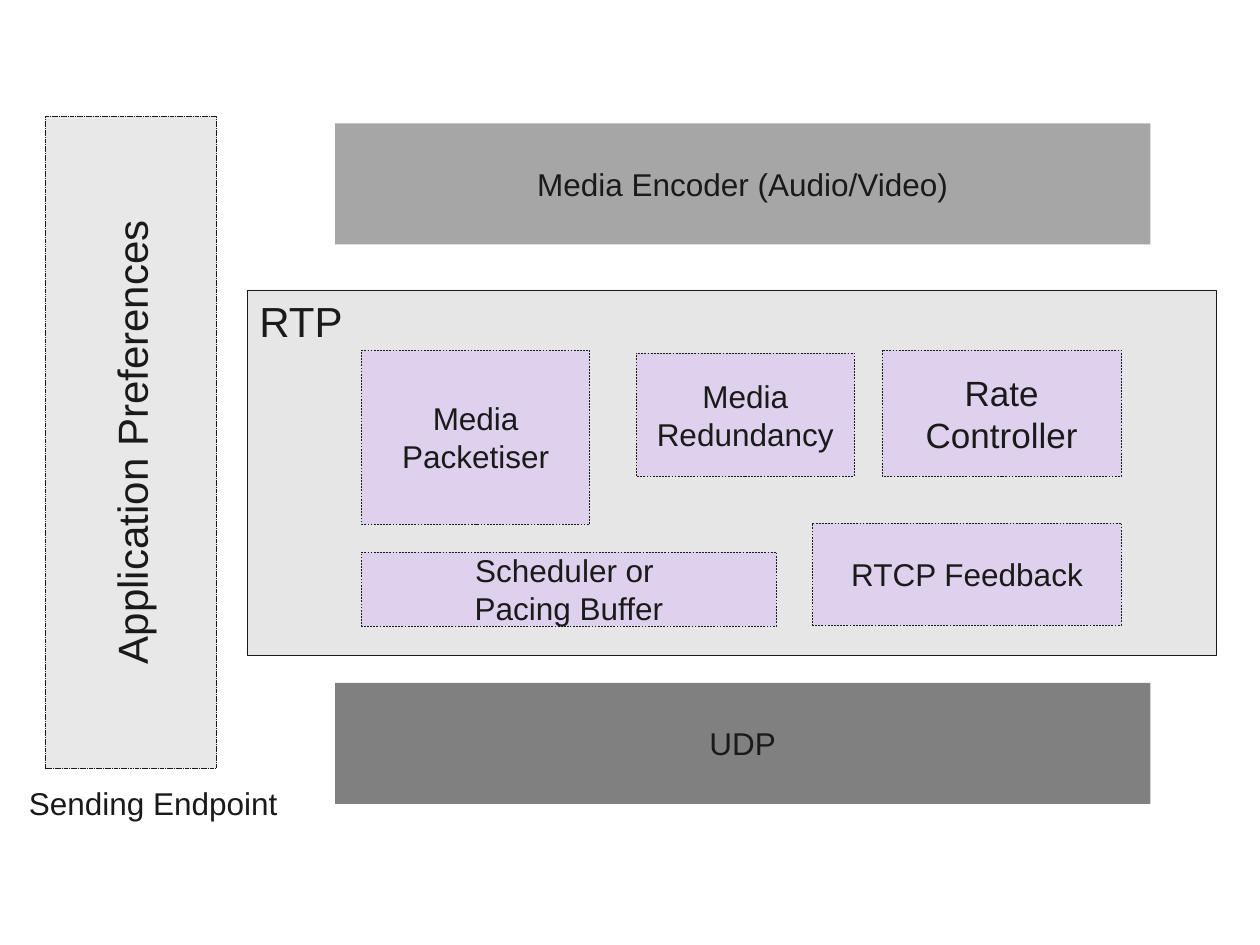
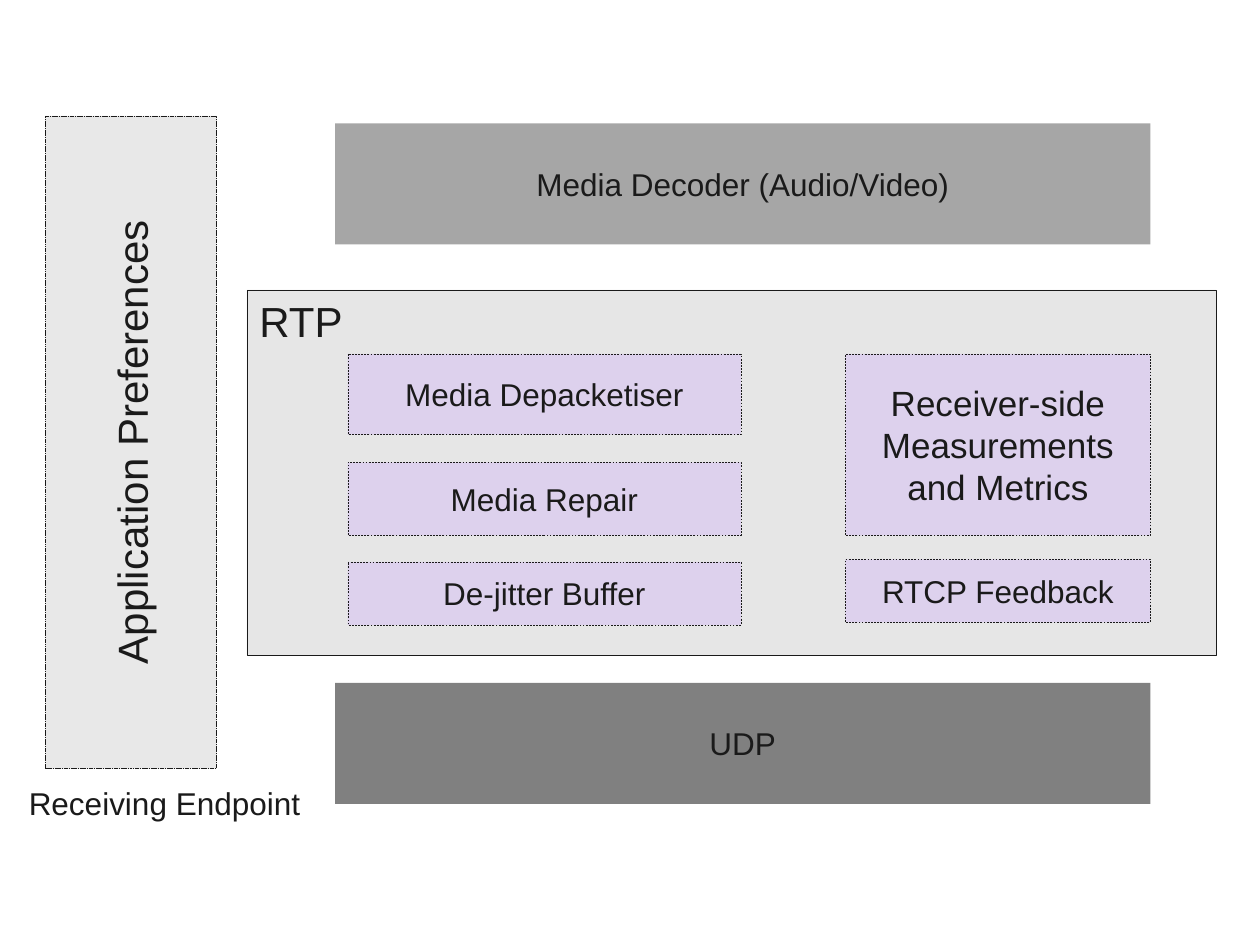
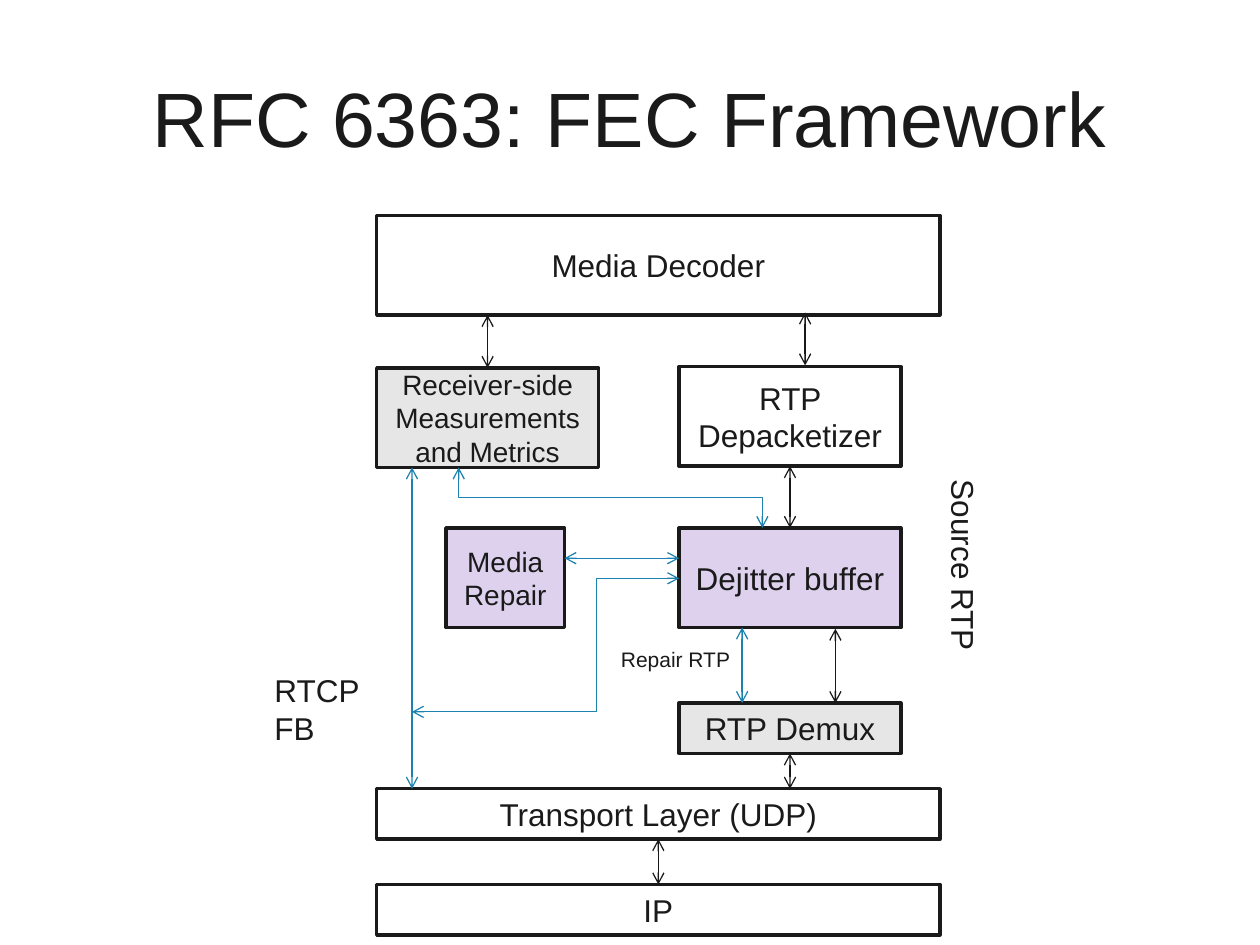
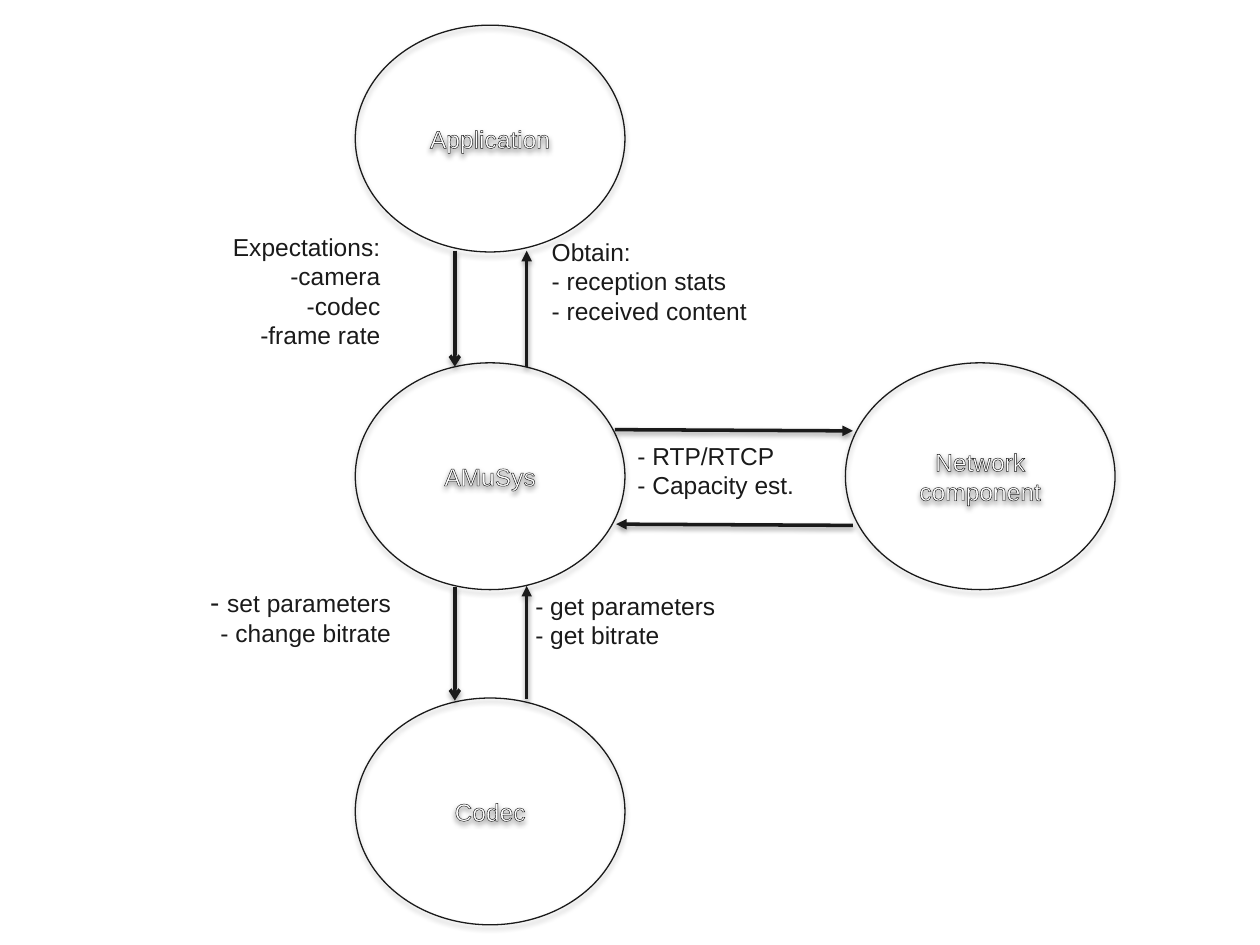
import lxml.etree
import pptx
import pptx.dml.color
import pptx.enum.dml
import pptx.enum.shapes
import pptx.enum.text
import pptx.oxml.ns
import pptx.util

COLOURS = {
    "ink": "1A1A1A",
    "arrow": "191919",
    "feedback": "1C82AF",
    "white": "FFFFFF",
    "panel": "E6E6E6",
    "sidebar": "E8E8E8",
    "module": "DDD1ED",
    "media": "A6A6A6",
    "transport": "808080",
    "shadow": "000000",
}
FONT = "Arial"
COLUMNS, ROWS = 100, 75
ALIGN = pptx.enum.text.PP_ALIGN
ANCHOR = pptx.enum.text.MSO_ANCHOR
SHAPE = pptx.enum.shapes.MSO_SHAPE
CONNECTOR = pptx.enum.shapes.MSO_CONNECTOR
DASH = pptx.enum.dml.MSO_LINE
TOP, LEFT, BOTTOM, RIGHT = range(4)


def rgb(name):
    return pptx.dml.color.RGBColor.from_string(COLOURS[name])


def add_node(parent, tag, **attributes):
    return lxml.etree.SubElement(parent, pptx.oxml.ns.qn(tag), attributes)


def add_colour(parent, name, **modifiers):
    colour = add_node(parent, "a:srgbClr", val=COLOURS[name])
    for tag, value in modifiers.items():
        add_node(colour, f"a:{tag}", val=str(value))


def cast_shadow(effects, alpha, distance):
    shade = add_node(effects, "a:outerShdw", blurRad=str(pptx.util.Pt(3.1)),
                     dist=str(pptx.util.Pt(distance)), dir="5400000",
                     algn="ctr", rotWithShape="0")
    add_colour(shade, "shadow", alpha=alpha * 1000)


def write(frame, text, size=18, colour="ink", align=ALIGN.LEFT, first_align=None,
          anchor=ANCHOR.TOP, outline=False, wrap=True):
    frame.word_wrap = wrap
    frame.vertical_anchor = anchor
    lines = text if isinstance(text, list) else [text]
    for number, line in enumerate(lines):
        para = frame.paragraphs[0] if number == 0 else frame.add_paragraph()
        para.alignment = first_align if number == 0 and first_align else align
        for words, points in [(line, size)] if isinstance(line, str) else line:
            span = para.add_run()
            span.text = words
            span.font.name = FONT
            span.font.size = pptx.util.Pt(points)
            span.font.color.rgb = rgb(colour)
            if outline:
                properties = span.font._element
                stroke = add_node(properties, "a:ln", w=str(pptx.util.Pt(0.75)))
                add_colour(add_node(stroke, "a:solidFill"), "ink")
                properties.insert(0, stroke)


class Deck:
    def __init__(self):
        self.file = pptx.Presentation()
        self.file.slide_width = pptx.util.Inches(10)
        self.file.slide_height = pptx.util.Inches(7.5)
        self.page = None

    def x(self, columns):
        return round(self.file.slide_width * columns / COLUMNS)

    def y(self, rows):
        return round(self.file.slide_height * rows / ROWS)

    def area(self, left, top, width, height):
        return self.x(left), self.y(top), self.x(width), self.y(height)

    def new_page(self, title=None):
        self.page = self.file.slides.add_slide(self.file.slide_layouts[5 if title else 6])
        if title:
            box = self.page.shapes.title
            box.left, box.top, box.width, box.height = self.area(5, 3, 90, 12.5)
            write(box.text_frame, title, size=44, align=ALIGN.CENTER, anchor=ANCHOR.MIDDLE)

    def shape(self, kind, place, fill=None, line=None, dash=None):
        box = self.page.shapes.add_shape(kind, *self.area(*place))
        box.shadow.inherit = False
        if fill:
            box.fill.solid()
            box.fill.fore_color.rgb = rgb(fill)
        else:
            box.fill.background()
        if line:
            box.line.color.rgb = rgb("ink")
            box.line.width = pptx.util.Pt(line)
            if dash:
                box.line.dash_style = dash
        else:
            box.line.fill.background()
        return box

    def box(self, text, place, fill, line=None, dash=None, size=18,
            align=ALIGN.CENTER, anchor=ANCHOR.MIDDLE, vertical=None):
        box = self.shape(SHAPE.RECTANGLE, place, fill, line, dash)
        write(box.text_frame, text, size=size, align=align, anchor=anchor)
        if vertical:
            box.text_frame._txBody.bodyPr.set("vert", vertical)
        return box

    def bubble(self, text, left, top):
        box = self.shape(SHAPE.OVAL, (left, top, 21.4, 18), line=0.75)
        cast_shadow(box._element.spPr.find(pptx.oxml.ns.qn("a:effectLst")), 35, 1.8)
        write(box.text_frame, text, size=14, colour="white", align=ALIGN.CENTER,
              anchor=ANCHOR.MIDDLE, outline=True)

    def label(self, text, place, rotation=0, **style):
        box = self.page.shapes.add_textbox(*self.area(*place))
        box.rotation = rotation
        write(box.text_frame, text, **style)
        box.text_frame.auto_size = pptx.enum.text.MSO_AUTO_SIZE.SHAPE_TO_FIT_TEXT

    def arrow(self, start, end, colour="arrow", width=0.75, head="arrow", tail="arrow",
              begin_at=None, end_at=None, bend=None, shadow=False):
        kind = CONNECTOR.STRAIGHT if bend is None else CONNECTOR.ELBOW
        link = self.page.shapes.add_connector(
            kind, self.x(start[0]), self.y(start[1]), self.x(end[0]), self.y(end[1]))
        if begin_at:
            link.begin_connect(*begin_at)
        if end_at:
            link.end_connect(*end_at)
        link.line.color.rgb = rgb(colour)
        link.line.width = pptx.util.Pt(width)
        properties = link._element.spPr
        stroke = properties.find(pptx.oxml.ns.qn("a:ln"))
        for tag, style in (("a:headEnd", head), ("a:tailEnd", tail)):
            if style:
                add_node(stroke, tag, type=style)
        effects = add_node(properties, "a:effectLst")
        if shadow:
            cast_shadow(effects, 38, 1.6)
        if bend is not None:
            geometry = properties.find(pptx.oxml.ns.qn("a:prstGeom"))
            guides = geometry.find(pptx.oxml.ns.qn("a:avLst"))
            if guides is None:
                guides = add_node(geometry, "a:avLst")
            add_node(guides, "a:gd", name="adj1", fmla=f"val {round(bend * 100000)}")
        return link

    def vertical_elbow(self, start, end, **style):
        middle_x, middle_y = (start[0] + end[0]) / 2, (start[1] + end[1]) / 2
        half_x, half_y = (end[0] - start[0]) / 2, (end[1] - start[1]) / 2
        link = self.arrow((middle_x + half_y, middle_y - half_x),
                          (middle_x - half_y, middle_y + half_x), bend=0.5, **style)
        link._element.spPr.find(pptx.oxml.ns.qn("a:xfrm")).set("rot", "16200000")


def endpoint_page(deck, role, codec, modules):
    deck.new_page()
    deck.box("RTP", (19.6, 23, 76.9, 29), "panel", line=0.25, size=24,
             align=ALIGN.LEFT, anchor=ANCHOR.TOP)
    for text, place, size in modules:
        deck.box(text, place, "module", line=0.25, dash=DASH.DASH, size=size)
    for text, top, fill in ((codec, 9.8, "media"), ("UDP", 54.2, "transport")):
        deck.box(text, (26.6, top, 64.7, 9.6), fill)
    deck.box("Application Preferences", (3.6, 9.2, 13.6, 51.8), "sidebar", line=0.25,
             dash=DASH.SQUARE_DOT, size=24, vertical="vert270")
    deck.label(f"{role} Endpoint", (1.3, 61.7, 25.2, 4))


def framework_page(deck):
    deck.new_page("RFC 6363: FEC Framework")
    wide, narrow, tall, low = 44.7, 17.6, 7.9, 4
    left, right = 29.9, 53.9
    blocks = {}
    for text, place, fill, size in (
        ("Media Decoder", (left, 17.1, wide, tall), "white", 18),
        ("Receiver-side Measurements and Metrics", (left, 29.2, narrow, tall), "panel", 16),
        ("RTP Depacketizer", (right, 29.1, narrow, tall), "white", 18),
        ("Media Repair", (35.4, 41.9, 9.4, tall), "module", 16),
        ("Dejitter buffer", (right, 41.9, narrow, tall), "module", 18),
        ("RTP Demux", (right, 55.8, narrow, low), "panel", 18),
        ("Transport Layer (UDP)", (left, 62.6, wide, low), "white", 18),
        ("IP", (left, 70.2, wide, low), "white", 18),
    ):
        blocks[text] = deck.box(text, place, fill, line=2, size=size)
    metrics = blocks["Receiver-side Measurements and Metrics"]
    transport = blocks["Transport Layer (UDP)"]

    deck.arrow((38.7, 25), (38.7, 29.2), end_at=(metrics, TOP))
    deck.arrow((63.9, 24.8), (63.9, 29))
    deck.arrow((62.7, 37), (62.7, 41.9), begin_at=(blocks["RTP Depacketizer"], BOTTOM),
               end_at=(blocks["Dejitter buffer"], TOP))
    deck.arrow((66.3, 49.9), (66.3, 55.8))
    deck.arrow((62.7, 59.8), (62.7, 62.6), begin_at=(blocks["RTP Demux"], BOTTOM))
    deck.arrow((52.2, 66.6), (52.2, 70.2), begin_at=(transport, BOTTOM),
               end_at=(blocks["IP"], TOP))
    for start, end in (((44.8, 44.3), (53.9, 44.3)), ((58.9, 49.8), (58.9, 55.8)),
                       ((32.7, 37.1), (32.7, 62.6))):
        deck.arrow(start, end, colour="feedback")
    deck.vertical_elbow((36.4, 37.1), (60.5, 41.9), colour="feedback")
    deck.arrow((53.9, 45.9), (32.7, 56.5), colour="feedback", bend=0.31)

    deck.label("Repair RTP", (48.3, 50.8, 11, 3), size=12, wrap=False)
    deck.label("RTCP FB", (20.8, 52.8, 11.6, 7))
    deck.label("Source RTP", (68.4, 43.2, 16.2, 4), rotation=90, wrap=False)


def system_page(deck):
    deck.new_page()
    for text, left, top in (("Application", 28.2, 2), ("AMuSys", 28.2, 28.8),
                            (["Network", "component"], 67.1, 28.8), ("Codec", 28.2, 55.4)):
        deck.bubble(text, left, top)
    for start, end, head, tail in (
        ((36.1, 19.9), (36.1, 29.1), None, "arrow"),
        ((41.8, 19.9), (41.8, 29.1), "triangle", None),
        ((67.7, 34.2), (48.8, 34.1), "triangle", None),
        ((67.7, 41.7), (48.9, 41.6), None, "triangle"),
        ((36.1, 46.6), (36.1, 55.6), None, "arrow"),
        ((41.8, 46.5), (41.8, 55.5), "triangle", None),
    ):
        deck.arrow(start, end, colour="ink", width=2, head=head, tail=tail, shadow=True)
    for lines, place, align, wrap in (
        (["Expectations:", "-camera", "-codec", "-frame rate"],
         (17.5, 17.9, 17.9, 13.6), ALIGN.RIGHT, False),
        (["Obtain:", "- reception stats", "- received content"],
         (42.8, 18.3, 22.9, 10.5), ALIGN.LEFT, False),
        (["- RTP/RTCP", "- Capacity est."], (49.6, 34.5, 18.8, 7.4), ALIGN.LEFT, False),
        ([[("- ", 16), ("set parameters", 14)], "- change bitrate"],
         (15.7, 45.9, 21.4, 7.9), ALIGN.RIGHT, False),
        (["- get parameters", "- get bitrate"], (41.5, 46.4, 34.3, 7.4), ALIGN.LEFT, True),
    ):
        deck.label(lines, place, size=14, align=align, first_align=ALIGN.LEFT, wrap=wrap)


def main():
    deck = Deck()
    endpoint_page(deck, "Sending", "Media Encoder (Audio/Video)", [
        ("Rate Controller", (70, 27.8, 19, 10), 20),
        (["Scheduler or ", "Pacing Buffer"], (28.7, 43.8, 32.9, 5.9), 18),
        ("Media Packetiser", (28.7, 27.8, 18.1, 13.8), 18),
        ("RTCP Feedback", (64.5, 41.5, 24.5, 8.1), 18),
        ("Media Redundancy", (50.5, 28, 17.3, 9.8), 18),
    ])
    endpoint_page(deck, "Receiving", "Media Decoder (Audio/Video)", [
        ("Receiver-side Measurements and Metrics", (67.1, 28.1, 24.2, 14.4), 20),
        ("De-jitter Buffer", (27.6, 44.6, 31.2, 5), 18),
        ("Media Depacketiser", (27.6, 28.1, 31.2, 6.4), 18),
        ("RTCP Feedback", (67.1, 44.4, 24.2, 5), 18),
        ("Media Repair", (27.6, 36.7, 31.2, 5.8), 18),
    ])
    framework_page(deck)
    system_page(deck)
    deck.file.save("out.pptx")


if __name__ == "__main__":
    main()
